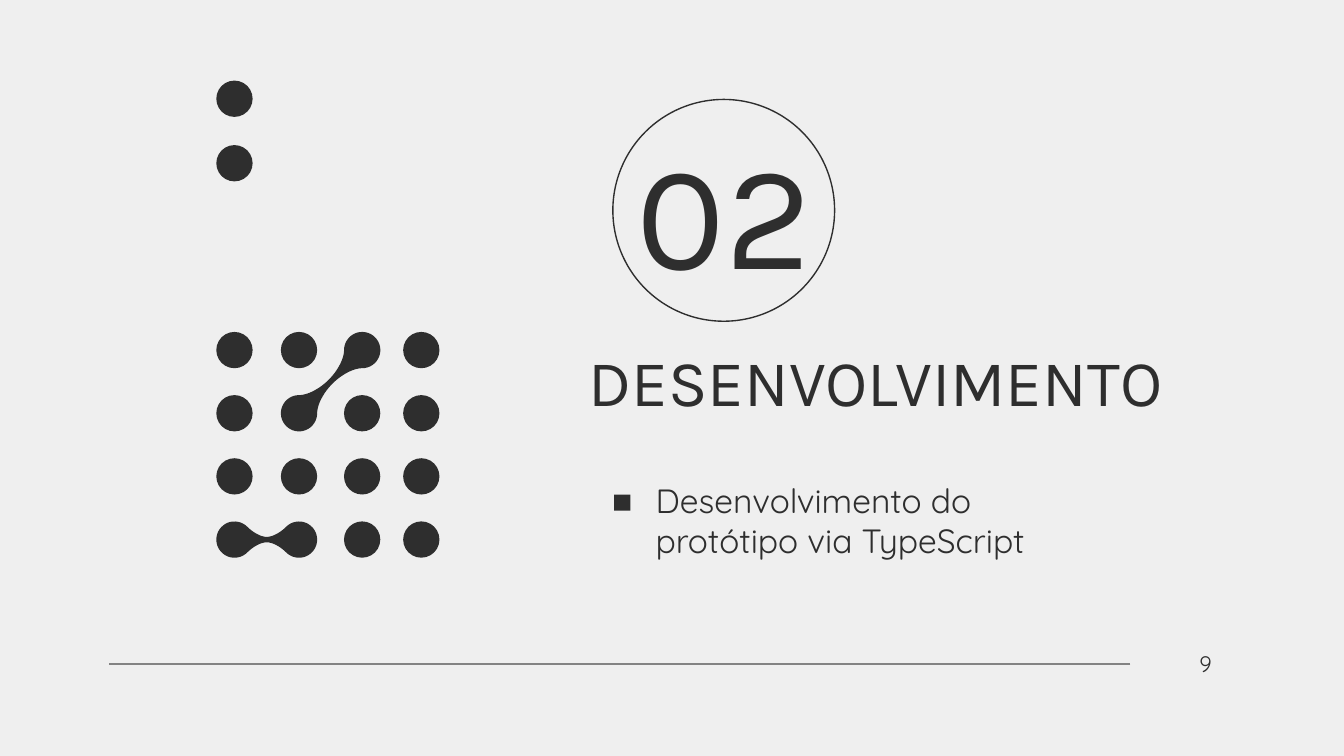
from itertools import product
from math import atan2, cos, hypot, pi, sin

from pptx import Presentation
from pptx.dml.color import RGBColor
from pptx.enum.shapes import MSO_CONNECTOR, MSO_SHAPE
from pptx.enum.text import MSO_ANCHOR, MSO_AUTO_SIZE, PP_ALIGN
from pptx.oxml.ns import qn
from pptx.util import Inches, Pt

OVAL, SQUARE = MSO_SHAPE.OVAL, MSO_SHAPE.RECTANGLE
STRAIGHT = MSO_CONNECTOR.STRAIGHT
MIDDLE, NO_FIT = MSO_ANCHOR.MIDDLE, MSO_AUTO_SIZE.NONE
LEFT, CENTER = PP_ALIGN.LEFT, PP_ALIGN.CENTER

INK, RULE, PAPER = "2E2E2E", "838383", "EFEFEF"
DOT = 0.27


def color(value):
    return RGBColor.from_string(value)


def inches(box):
    return [Inches(v) for v in box]


def paint(sp, fill=None, line=None):
    sp.shadow.inherit = False
    if fill:
        sp.fill.solid()
        sp.fill.fore_color.rgb = color(fill)
    else:
        sp.fill.background()
    if line:
        sp.line.color.rgb = color(line)
        sp.line.width = Pt(0.75)
    else:
        sp.line.fill.background()


def add_shape(s, kind, box, **style):
    paint(s.shapes.add_shape(kind, *inches(box)), **style)


def write(sp, box, text, font, size, align=LEFT):
    sp.left, sp.top, sp.width, sp.height = inches(box)
    tf = sp.text_frame
    margins = {f"margin_{side}": Inches(0.1)
               for side in ("left", "top", "right", "bottom")}
    frame = {"word_wrap": True, "auto_size": NO_FIT, "vertical_anchor": MIDDLE}
    for name, value in {**frame, **margins}.items():
        setattr(tf, name, value)
    p = tf.paragraphs[0]
    p.alignment = align
    r = p.add_run()
    r.text = text
    for name, value in {"name": font, "size": Pt(size), "bold": False}.items():
        setattr(r.font, name, value)
    r.font.color.rgb = color(INK)


def add_text(s, box, *args, **kwargs):
    write(s.shapes.add_textbox(*inches(box)), box, *args, **kwargs)


def add_dot(s, x, y):
    add_shape(s, OVAL, (x - DOT / 2, y - DOT / 2, DOT, DOT), fill=INK)


def link_outline(length, neck=0.02, steps=16):
    radius = DOT / 2
    edge = radius * cos(pi / 4)
    bend = 2 * edge - neck
    c1 = (edge + 0.6 * (bend - edge), edge - 0.6 * (edge - neck))
    c2 = (length / 2 - 0.6 * (length / 2 - bend), neck)
    curve = ((edge, edge), c1, c2, (length / 2, neck))
    angles = [pi - 0.75 * pi * i / steps for i in range(steps)]
    quarter = [(radius * cos(a), radius * sin(a)) for a in angles]
    for i in range(steps + 1):
        t = i / steps
        weights = ((1 - t) ** 3, 3 * t * (1 - t) ** 2, 3 * t * t * (1 - t), t ** 3)
        quarter.append(tuple(sum(w * pt[k] for w, pt in zip(weights, curve))
                             for k in (0, 1)))
    upper = quarter + [(length - x, y) for x, y in reversed(quarter)]
    return upper + [(x, -y) for x, y in reversed(upper)]


def add_link(s, start, end):
    (x0, y0), (x1, y1) = start, end
    turn = atan2(y1 - y0, x1 - x0)
    points = [(Inches(x0 + x * cos(turn) - y * sin(turn)),
               Inches(y0 + x * sin(turn) + y * cos(turn)))
              for x, y in link_outline(hypot(x1 - x0, y1 - y0))]
    builder = s.shapes.build_freeform(*points[0])
    builder.add_line_segments(points[1:], close=True)
    paint(builder.convert_to_shape(), fill=INK)


def add_dot_pattern(s, left, top):
    columns = [left + DOT / 2 + dx for dx in (0, 0.48, 0.95, 1.39)]
    rows = [top + DOT / 2 + dy for dy in (0, 0.48, 1.87, 2.34, 2.81, 3.28)]
    links = [((1, 3), (2, 2)), ((0, 5), (1, 5))]
    linked = {cell for link in links for cell in link}
    for c, r in product(range(4), range(6)):
        if (c, r) not in linked and (r > 1 or c == 0):
            add_dot(s, columns[c], rows[r])
    for link in links:
        add_link(s, *((columns[c], rows[r]) for c, r in link))


def add_section_heading(s, left, top):
    add_shape(s, OVAL, (left + 0.28, top, 1.65, 1.65), line=INK)
    add_text(s, (left + 0.2, top + 0.27, 1.82, 1.1), "02", "Karla", 80, align=CENTER)
    write(s.shapes.title, (left, top + 1.61, 5.44, 0.96),
          "DESENVOLVIMENTO", "Karla", 35)


def add_topic(s, left, top):
    add_shape(s, SQUARE, (left, top + 0.13, 0.12, 0.12), fill=INK)
    add_text(s, (left + 0.21, top, 3.54, 0.64),
             "Desenvolvimento do protótipo via TypeScript", "Quicksand", 18)


def add_footer(s, left, y):
    rule = s.shapes.add_connector(STRAIGHT, *inches((left + 7.6, y, left, y)))
    rule.line.color.rgb = color(RULE)
    rule.line.width = Pt(0.75)
    rule._element.spPr.append(rule._element.makeelement(qn("a:effectLst"), {}))
    add_text(s, (left + 7.94, y - 0.11, 0.44, 0.21), "9", "Quicksand", 12, align=CENTER)


def main():
    prs = Presentation()
    prs.slide_width = Inches(10)
    prs.slide_height = prs.slide_width * 9 // 16
    s = prs.slides.add_slide(prs.slide_layouts[5])
    s.background.fill.solid()
    s.background.fill.fore_color.rgb = color(PAPER)
    add_footer(s, 0.81, 4.94)
    add_section_heading(s, 4.28, 0.74)
    add_topic(s, 4.57, 3.55)
    add_dot_pattern(s, 1.61, 0.6)
    prs.save("out.pptx")


if __name__ == "__main__":
    main()
